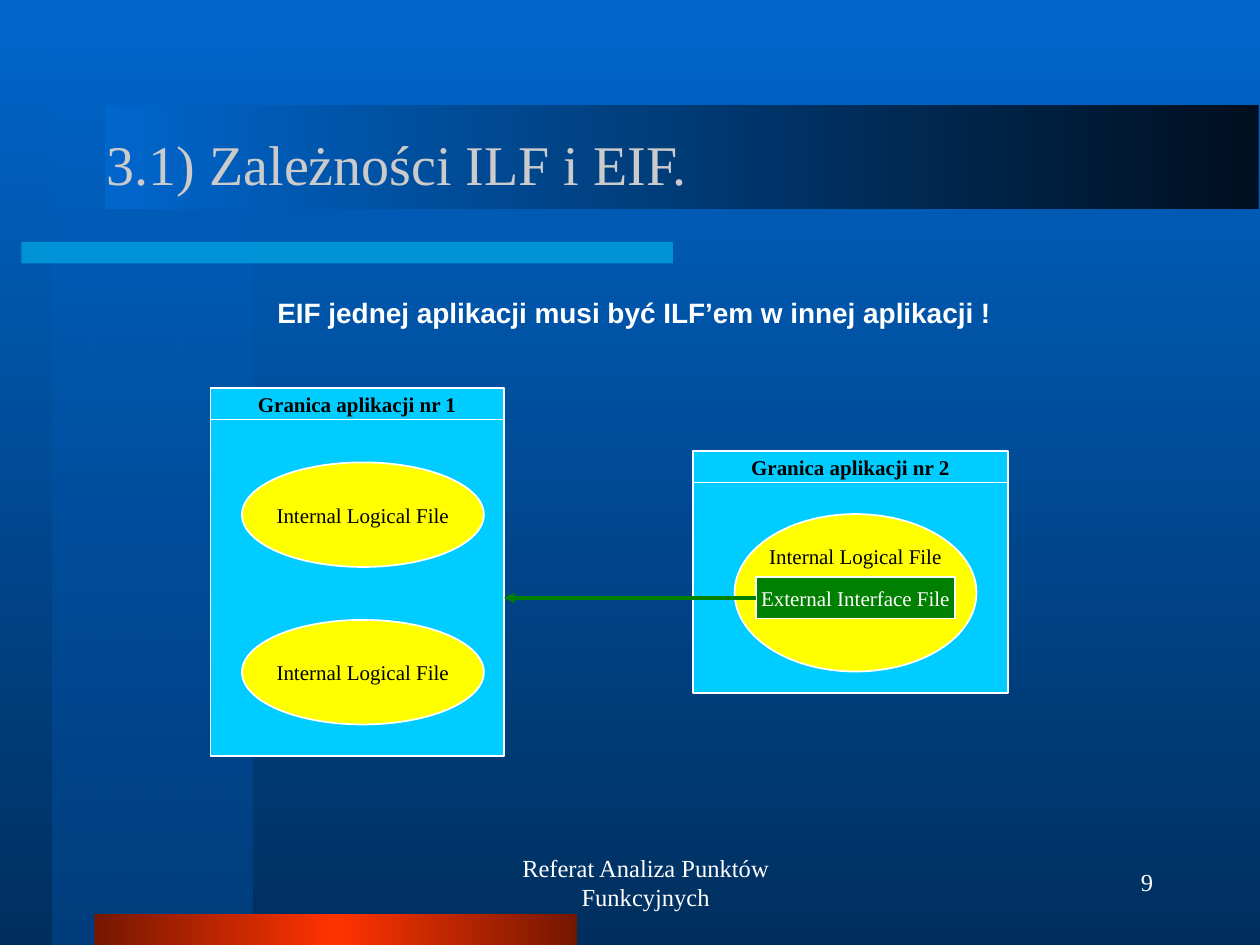
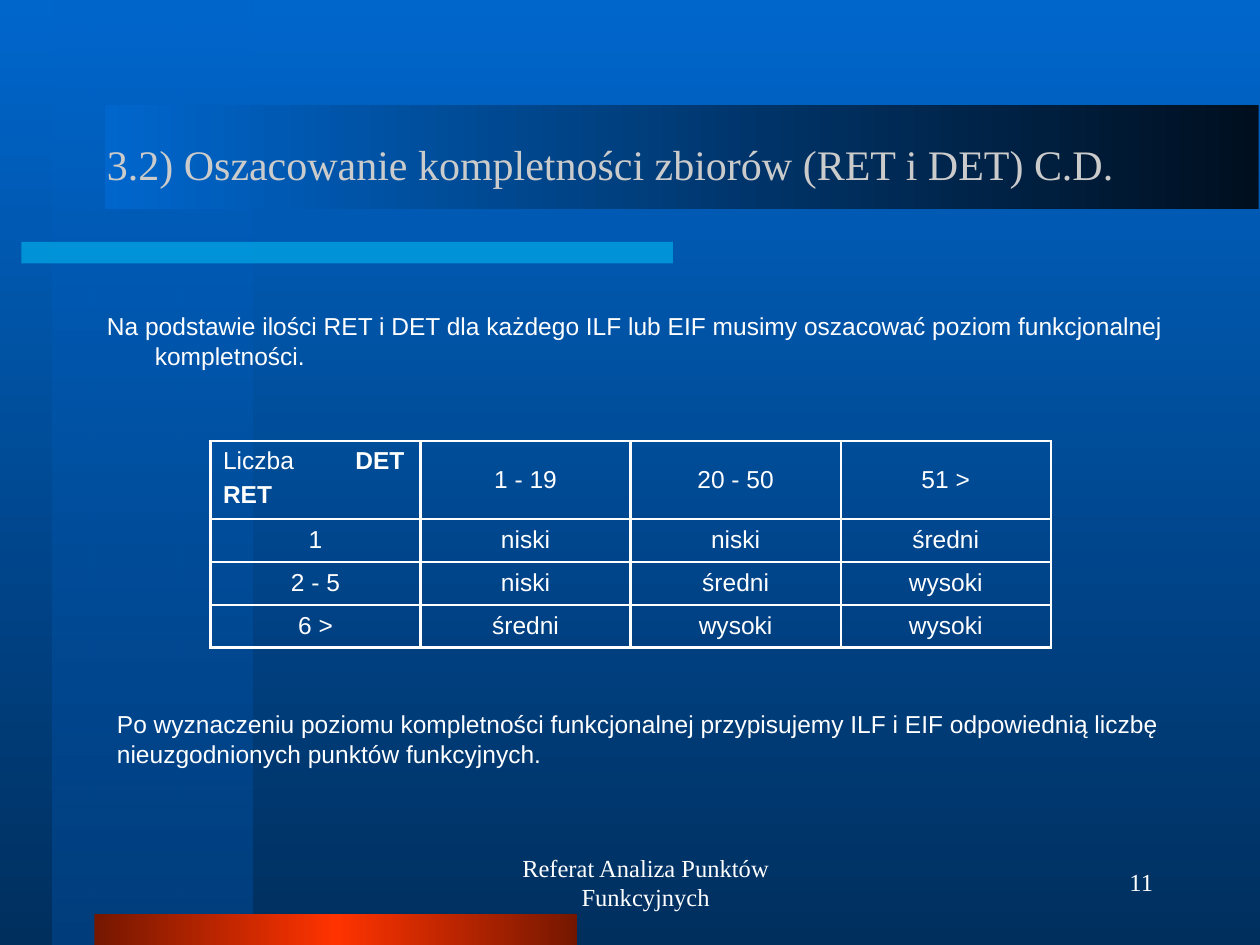
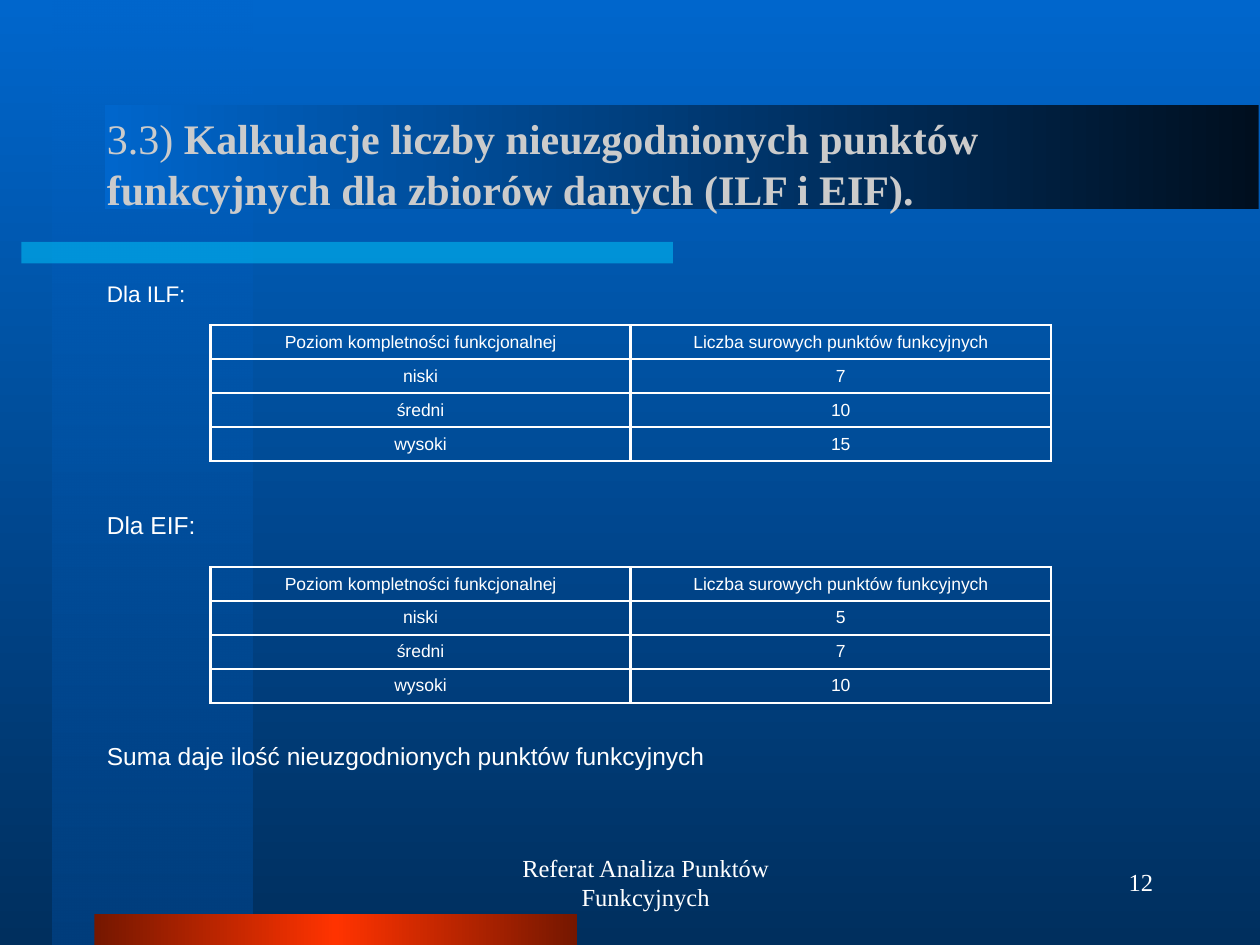
import lxml.etree
import pptx
import pptx.dml.color
import pptx.enum.shapes
import pptx.enum.text
import pptx.oxml.ns
import pptx.util

Inches = pptx.util.Inches
Pt = pptx.util.Pt
qn = pptx.oxml.ns.qn
ALIGN = pptx.enum.text.PP_ALIGN
ANCHOR = pptx.enum.text.MSO_ANCHOR
SHAPE = pptx.enum.shapes.MSO_SHAPE

WHITE, BLACK, SILVER = "FFFFFF", "000000", "CBCBCB"
SKY, YELLOW, GREEN = "00CCFF", "FFFF00", "008000"
BLUE, NAVY = "0066CC", "002F5E"

SERIF, SANS = "Times New Roman", "Arial"
LABEL = {"name": SERIF, "size": Pt(12)}
FOOTER = {"name": SERIF, "size": Pt(14)}
BODY = {"name": SANS, "size": Pt(14)}
SMALL_BODY = {"name": SANS, "size": Pt(12.9)}
CALLOUT = {"name": SANS, "size": Pt(16), "bold": True}
SMALL_CELL = {"name": SANS, "size": Pt(10)}

MIDDLE = {"word_wrap": True, "vertical_anchor": ANCHOR.MIDDLE}
TOP = {"word_wrap": True, "vertical_anchor": ANCHOR.TOP}
LABEL_MIDDLE = {"word_wrap": False, "vertical_anchor": ANCHOR.MIDDLE}
LABEL_TOP = {"word_wrap": False, "vertical_anchor": ANCHOR.TOP}
CENTERED = {"alignment": ALIGN.CENTER}

HANGING = (0.38, -0.38)
FOOTER_INDENT = (0.24, 0)
HEADER_HEIGHT = 0.25
CORNER_TAB = 1.05


def rgb(value):
    """Return the colour for a hex string."""
    return pptx.dml.color.RGBColor.from_string(value)


def apply_format(target, values):
    """Set each attribute of the target from a dict."""
    for name, value in values.items():
        setattr(target, name, value)


def inches(box):
    """Convert a sequence of inch values to lengths."""
    return [Inches(value) for value in box]


def add_element(parent, tag, **attributes):
    """Append a drawing element with its attributes."""
    return lxml.etree.SubElement(parent, qn(tag), attributes)


def add_alpha(color, percent):
    """Make a colour element partly transparent."""
    add_element(color, "a:alpha", val=str(percent * 1000))


def set_gradient(fill, element, stops, angle):
    """Fill with stops of position, colour and opacity."""
    fill.gradient()
    gradient = next(element.iter(qn("a:gradFill")))
    stop_list = gradient.find(qn("a:gsLst"))
    stop_list.clear()
    for position, value, opacity in stops:
        stop = add_element(stop_list, "a:gs", pos=str(position * 1000))
        color = add_element(stop, "a:srgbClr", val=value)
        if opacity < 100:
            add_alpha(color, opacity)
    gradient.find(qn("a:lin")).set("ang", str(angle * 60000))


def write_text(text_frame, paragraphs, font, color=WHITE, layout=None, indent=None, space=0, tab=None):
    """Write paragraphs, each a string or a list of text and format runs."""
    for index, runs in enumerate(paragraphs):
        paragraph = text_frame.add_paragraph() if index else text_frame.paragraphs[0]
        properties = paragraph._p.get_or_add_pPr()
        if indent:
            properties.set("marL", str(Inches(indent[0])))
            properties.set("indent", str(Inches(indent[1])))
        if index and space:
            paragraph.space_before = Pt(space)
        if tab:
            tabs = add_element(properties, "a:tabLst")
            add_element(tabs, "a:tab", pos=str(Inches(tab)), algn="l")
        apply_format(paragraph, layout or {})
        for text, changes in [(runs, {})] if isinstance(runs, str) else runs:
            run = paragraph.add_run()
            run.text = text
            apply_format(run.font, {**font, **changes})
            run.font.color.rgb = rgb(color)


def add_text(slide, box, content, font, frame=TOP, **options):
    """Add a text box holding one paragraph."""
    shape = slide.shapes.add_textbox(*inches(box))
    apply_format(shape.text_frame, frame)
    write_text(shape.text_frame, [content], font, **options)


def add_panel(slide, kind, box):
    """Add a preset shape without shadow or outline."""
    shape = slide.shapes.add_shape(kind, *inches(box))
    shape.shadow.inherit = False
    shape.line.fill.background()
    return shape


def add_node(slide, kind, box, fill, text="", frame=LABEL_MIDDLE, color=BLACK, **changes):
    """Add a white-outlined diagram shape with a centred label."""
    shape = add_panel(slide, kind, box)
    shape.fill.solid()
    shape.fill.fore_color.rgb = rgb(fill)
    shape.line.color.rgb = rgb(WHITE)
    shape.line.width = Pt(1)
    if text:
        apply_format(shape.text_frame, frame)
        write_text(shape.text_frame, [text], {**LABEL, **changes}, color, CENTERED)
    return shape


def add_decoration(slide):
    """Draw the background and bands that every slide shares."""
    set_gradient(slide.background.fill, slide.element, [(0, BLUE, 100), (100, NAVY, 100)], 90)
    bands = [
        ((0.42, 0, 1.58, 7.5), [(0, BLUE, 50), (100, "003E7D", 100)], 90),
        ((0.75, 7.25, 3.83, 0.25), [(0, "751700", 100), (50, "FF3300", 100), (100, "751700", 100)], 180),
        ((0.83, 0.83, 9.16, 0.83), [(0, "000F1F", 100), (100, BLUE, 100)], 180),
    ]
    for box, stops, angle in bands:
        band = add_panel(slide, SHAPE.RECTANGLE, box)
        set_gradient(band.fill, band._element, stops, angle)
    underline = add_panel(slide, SHAPE.RECTANGLE, (0.17, 1.92, 5.17, 0.17))
    underline.fill.solid()
    underline.fill.fore_color.rgb = rgb(SKY)
    add_alpha(next(underline._element.iter(qn("a:srgbClr"))), 50)


def add_base_slide(presentation, title, title_size, number):
    """Add a slide with the shared bands, title and footer."""
    slide = presentation.slides.add_slide(presentation.slide_layouts[6])
    add_decoration(slide)
    title_font = {"name": SERIF, "size": Pt(title_size)}
    add_text(slide, (0.75, 0.67, 8.5, 1.25), title, title_font, MIDDLE, color=SILVER)
    add_text(slide, (3.42, 6.75, 3.17, 0.5), "Referat Analiza Punktów Funkcyjnych", FOOTER, MIDDLE,
             layout=CENTERED, indent=FOOTER_INDENT)
    add_text(slide, (7.17, 6.75, 2.08, 0.5), str(number), FOOTER, MIDDLE,
             layout={"alignment": ALIGN.RIGHT}, indent=FOOTER_INDENT)
    return slide


def add_application(slide, box, name, files, frame=LABEL_MIDDLE):
    """Draw an application boundary with logical files placed inside its box."""
    left, top, width, height = box
    add_node(slide, SHAPE.RECTANGLE, (left, top + HEADER_HEIGHT, width, height - HEADER_HEIGHT), SKY)
    add_node(slide, SHAPE.RECTANGLE, (left, top, width, HEADER_HEIGHT), SKY, name, bold=True)
    for x, y, file_width, file_height in files:
        add_node(slide, SHAPE.OVAL, (left + x, top + y, file_width, file_height), YELLOW,
                 "Internal Logical File", frame)


def add_arrow(slide, source, end_x):
    """Draw a level arrow from the left side of a shape."""
    y = source.top + source.height // 2
    connector = slide.shapes.add_connector(
        pptx.enum.shapes.MSO_CONNECTOR.STRAIGHT, source.left, y, Inches(end_x), y)
    connector.begin_connect(source, 1)
    connector.line.color.rgb = rgb(GREEN)
    connector.line.width = Pt(2)
    add_element(connector.line._get_or_add_ln(), "a:tailEnd", type="triangle")
    add_element(connector._element.spPr, "a:effectLst")


def set_borders(cell):
    """Give all four sides of a cell a white line."""
    properties = cell._tc.get_or_add_tcPr()
    for index, side in enumerate(("a:lnL", "a:lnR", "a:lnT", "a:lnB")):
        line = add_element(properties, side, w=str(Pt(1.47)))
        add_element(add_element(line, "a:solidFill"), "a:srgbClr", val=WHITE)
        properties.insert(index, line)


def add_grid(slide, box, rows, row_heights, font, corner=None):
    """Add an unfilled table with equal columns and an optional corner text."""
    left, top, width, height = box
    frame = slide.shapes.add_table(len(rows), len(rows[0]), *inches(box))
    table = frame.table
    apply_format(table, {"first_row": False, "horz_banding": False})
    for column in table.columns:
        column.width = Inches(width / len(rows[0]))
    for row, row_height, values in zip(table.rows, row_heights, rows):
        row.height = Inches(row_height)
        for cell, value in zip(row.cells, values):
            cell.fill.background()
            set_borders(cell)
            if value:
                cell.vertical_anchor = ANCHOR.MIDDLE
                write_text(cell.text_frame, [value], font, layout=CENTERED)
    if corner:
        write_text(table.cell(0, 0).text_frame, corner, font, space=3.5, tab=CORNER_TAB)


def add_points_table(slide, top, points):
    """Add the table of raw function points for each level."""
    header = ("Poziom kompletności funkcjonalnej", "Liczba surowych punktów funkcyjnych")
    rows = [header, *zip(("niski", "średni", "wysoki"), points)]
    add_grid(slide, (1.67, top, 6.67, 1.08), rows, [0.27] * 4, SMALL_CELL)


def build_dependency_slide(presentation):
    """Show how an external file points at another application."""
    slide = add_base_slide(presentation, "3.1) Zależności ILF i EIF.", 32, 9)
    add_text(slide, (0.65, 2.3, 8.77, 0.37), "EIF jednej aplikacji musi być ILF’em w innej aplikacji !",
             CALLOUT, layout=CENTERED)
    add_application(slide, (1.67, 3.08, 2.33, 2.92), "Granica aplikacji nr 1",
                    [(0.25, y, 1.92, 0.83) for y in (0.59, 1.84)])
    add_application(slide, (5.5, 3.58, 2.5, 1.92), "Granica aplikacji nr 2",
                    [(0.33, 0.5, 1.92, 1.25)], LABEL_TOP)
    external_file = add_node(slide, SHAPE.RECTANGLE, (6, 4.58, 1.58, 0.33), GREEN,
                             "External Interface File", color=WHITE)
    add_arrow(slide, external_file, 4)


def build_completeness_slide(presentation):
    """Show the completeness level for each count of RET and DET."""
    slide = add_base_slide(presentation, "3.2) Oszacowanie kompletności zbiorów (RET i DET) C.D.", 24, 11)
    add_text(slide, (0.75, 2.42, 8.92, 0.58),
             "Na podstawie ilości RET i DET dla każdego ILF lub EIF musimy oszacować poziom "
             "funkcjonalnej kompletności.", BODY, indent=HANGING)
    rows = [
        ("", "1 - 19", "20 - 50", "51 >"),
        ("1", "niski", "niski", "średni"),
        ("2 - 5", "niski", "średni", "wysoki"),
        ("6 >", "średni", "wysoki", "wysoki"),
    ]
    bold = {"bold": True}
    corner = [[("Liczba\t", {}), ("DET", bold)], [("RET", bold)]]
    add_grid(slide, (1.67, 3.5, 6.67, 1.64), rows, [0.62, 0.34, 0.34, 0.34], BODY, corner)
    add_text(slide, (0.83, 5.58, 8.83, 0.57),
             "Po wyznaczeniu poziomu kompletności funkcjonalnej przypisujemy ILF i EIF odpowiednią "
             "liczbę nieuzgodnionych punktów funkcyjnych.", BODY)


def build_points_slide(presentation):
    """Show the raw points for internal and external files."""
    title = [
        ("3.3) ", {}),
        ("Kalkulacje liczby nieuzgodnionych punktów funkcyjnych dla zbiorów danych (ILF i EIF).",
         {"bold": True}),
    ]
    slide = add_base_slide(presentation, title, 24, 12)
    captions = [
        (2.17, "Dla ILF:", SMALL_BODY),
        (4, "Dla EIF:", BODY),
        (5.83, "Suma daje ilość nieuzgodnionych punktów funkcyjnych", BODY),
    ]
    for top, caption, font in captions:
        add_text(slide, (0.75, top, 8.5, 0.33), caption, font, indent=HANGING)
    add_points_table(slide, 2.58, ("7", "10", "15"))
    add_points_table(slide, 4.5, ("5", "7", "10"))


def main():
    """Build and save the presentation."""
    presentation = pptx.Presentation()
    apply_format(presentation, {"slide_width": Inches(10), "slide_height": Inches(7.5)})
    build_dependency_slide(presentation)
    build_completeness_slide(presentation)
    build_points_slide(presentation)
    presentation.save("out.pptx")


if __name__ == "__main__":
    main()
